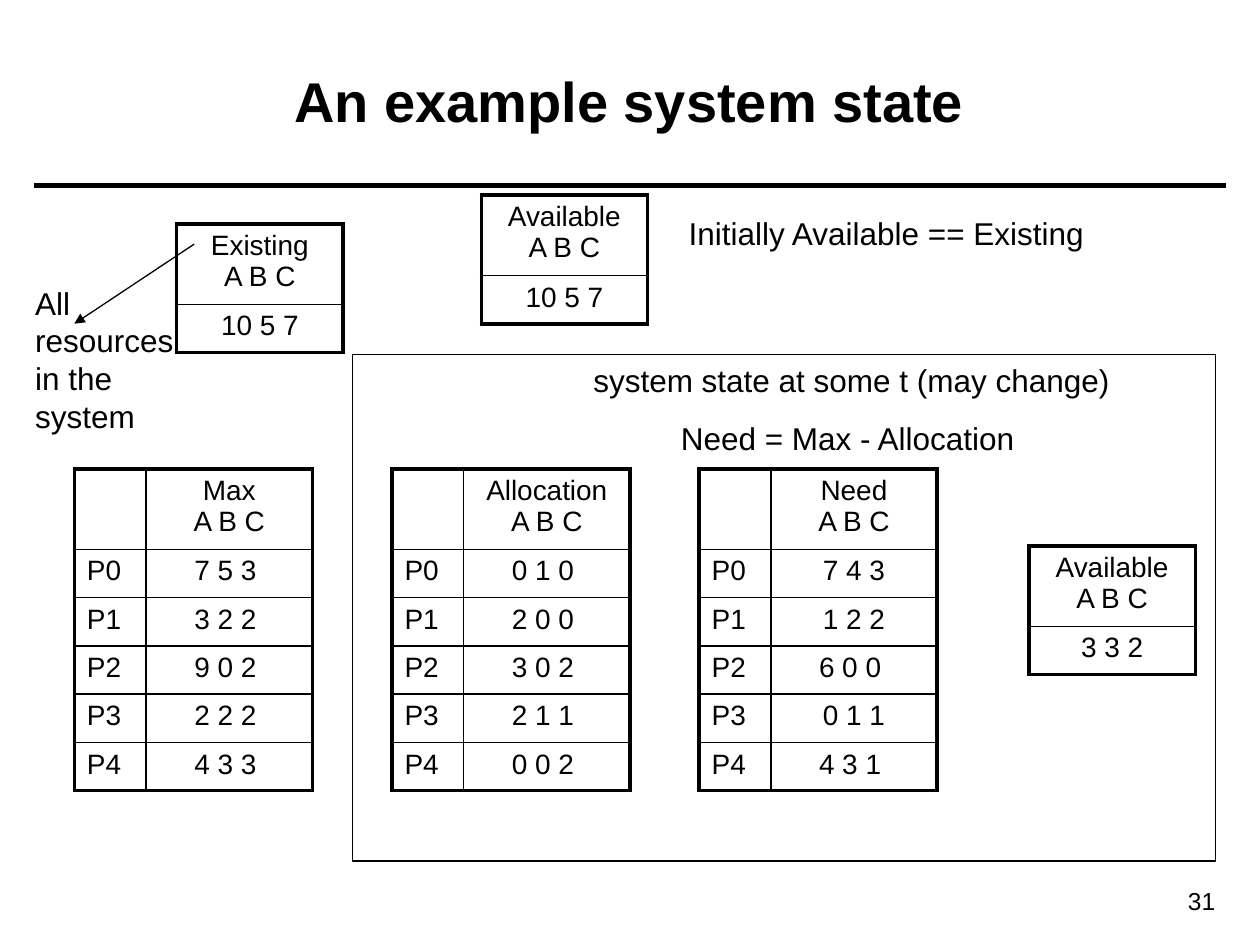
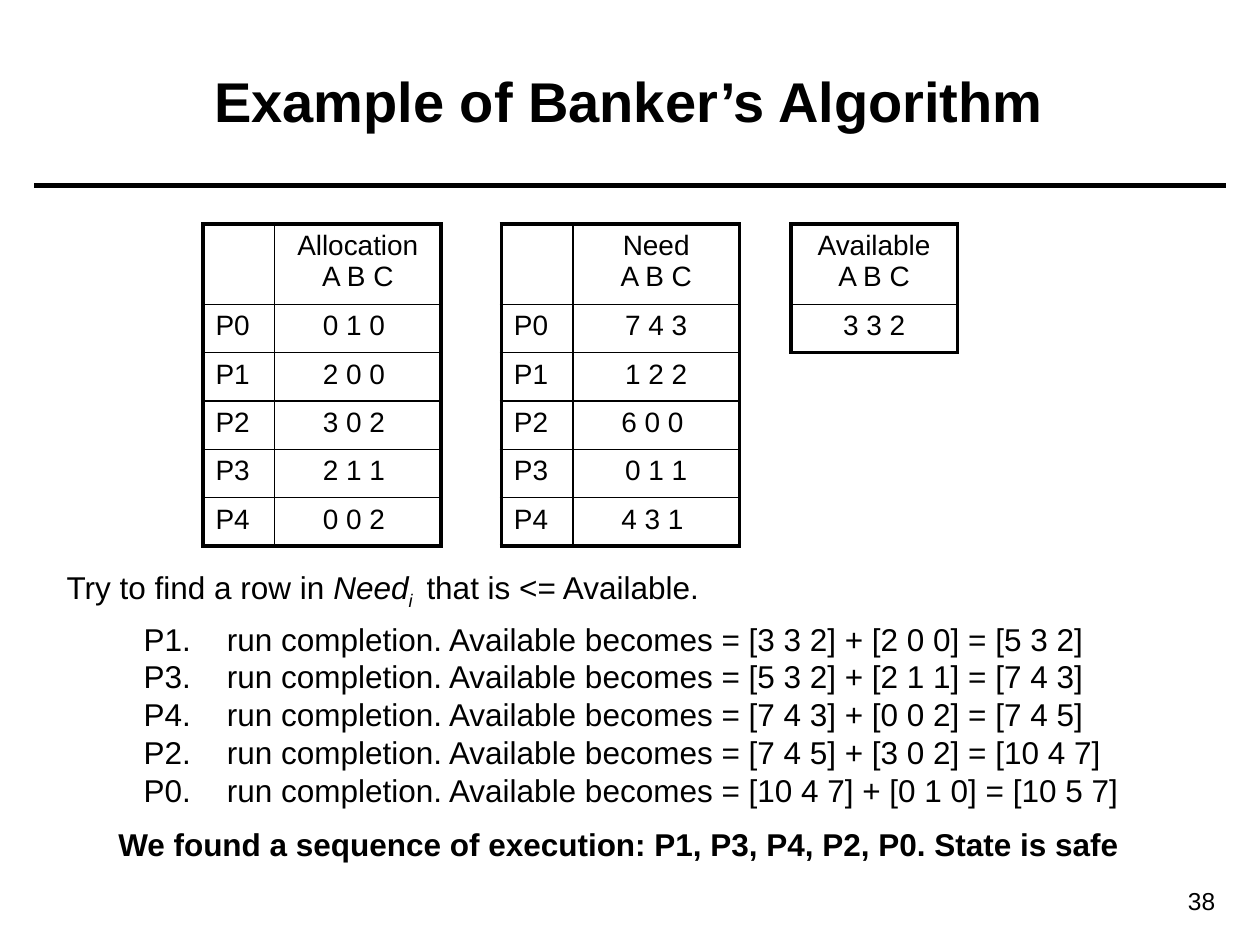
from copy import deepcopy

from lxml import etree
from pptx import Presentation
from pptx import util as u
from pptx.dml import color
from pptx.enum import shapes, text
from pptx.oxml import ns

FONT = "Arial"
BLACK = "000000"
OUTER, INNER = 2.25, 1
HEADER_HEIGHT, ROW_HEIGHT = 46, 27.6
PROCESS_WIDTH, VALUES_WIDTH = 41, 95
PROCESSES = ["P0", "P1", "P2", "P3", "P4"]
MAX = ["7 5 3 ", "3 2 2 ", "9 0 2 ", "2 2 2 ", "4 3 3 "]
ALLOCATION = ["0 1 0 ", "2 0 0 ", "3 0 2 ", "2 1 1 ", "0 0 2 "]
NEED = ["7 4 3", "1 2 2", "6 0 0 ", "0 1 1", "4 3 1 "]
EXISTING = "10 5 7"
AVAILABLE = "3 3 2"
SAFE_ORDER = ["P1", "P3", "P4", "P2", "P0"]
LEFT, CENTER, RIGHT = text.PP_ALIGN.LEFT, text.PP_ALIGN.CENTER, text.PP_ALIGN.RIGHT


def rgb(value):
    return color.RGBColor.from_string(value)


def points(*values):
    return [u.Pt(value) for value in values]


def add_element(parent, tag, **attributes):
    return etree.SubElement(parent, ns.qn(tag), attributes)


def write(frame, *paragraphs, size=18, bold=False, align=LEFT, tab=None):
    for number, content in enumerate(paragraphs):
        paragraph = frame.paragraphs[0] if number == 0 else frame.add_paragraph()
        paragraph.text = content
        paragraph.alignment = align
        if tab:
            stops = add_element(paragraph._p.get_or_add_pPr(), "a:tabLst")
            add_element(stops, "a:tab", pos=str(u.Pt(tab)), algn="l")
        for run in paragraph.runs:
            run.font.name = FONT
            run.font.size = u.Pt(size)
            run.font.bold = bold
            run.font.color.rgb = rgb(BLACK)
        for line_break in paragraph._p.findall(ns.qn("a:br")):
            line_break.append(deepcopy(paragraph.runs[0]._r.rPr))


def add_text(slide, box, *paragraphs, **style):
    frame = slide.shapes.add_textbox(*points(*box)).text_frame
    frame.word_wrap = True
    write(frame, *paragraphs, **style)
    return frame


def add_line(slide, start, end, width, arrow=False):
    line = slide.shapes.add_connector(
        shapes.MSO_CONNECTOR.STRAIGHT, *points(*start, *end))
    line.line.color.rgb = rgb(BLACK)
    line.line.width = u.Pt(width)
    if arrow:
        add_element(line.line._get_or_add_ln(), "a:tailEnd", type="triangle")
    add_element(line._element.spPr, "a:effectLst")


def set_borders(cell, **widths):
    properties = cell._tc.get_or_add_tcPr()
    for side in "LRTB":
        edge = add_element(properties, f"a:ln{side}", w=str(u.Pt(widths[side])))
        add_element(add_element(edge, "a:solidFill"), "a:srgbClr", val=BLACK)


def add_grid(slide, left, top, rows, widths):
    heights = [HEADER_HEIGHT] + [ROW_HEIGHT] * (len(rows) - 1)
    grid = slide.shapes.add_table(
        len(rows), len(widths),
        *points(left, top, sum(widths), sum(heights))).table
    grid.first_row = grid.horz_banding = False
    for column, width in zip(grid.columns, widths):
        column.width = u.Pt(width)
    last_row, last_column = len(rows) - 1, len(widths) - 1
    for r, (row, height) in enumerate(zip(rows, heights)):
        grid.rows[r].height = u.Pt(height)
        for c, content in enumerate(row):
            cell = grid.cell(r, c)
            write(cell.text_frame, content, size=16,
                  align=CENTER if c == last_column else LEFT)
            set_borders(cell,
                        L=OUTER if c == 0 else INNER,
                        R=OUTER if c == last_column else INNER,
                        T=OUTER if r == 0 else INNER,
                        B=OUTER if r == last_row else INNER)
            cell.fill.background()


def add_process_table(slide, left, top, heading, values):
    rows = [("", f"{heading}\nA B C"), *zip(PROCESSES, values)]
    add_grid(slide, left, top, rows, [PROCESS_WIDTH, VALUES_WIDTH])


def add_resource_table(slide, left, top, heading, values):
    add_grid(slide, left, top, [[f"{heading}\nA B C"], [values]], [VALUES_WIDTH])


def add_frame(slide, box):
    frame = slide.shapes.add_shape(shapes.MSO_SHAPE.RECTANGLE, *points(*box))
    frame.shadow.inherit = False
    frame.fill.background()
    frame.line.color.rgb = rgb(BLACK)
    frame.line.width = u.Pt(0.75)


def add_slide(deck, heading, number):
    slide = deck.slides.add_slide(deck.slide_layouts[5])
    add_line(slide, (19.5, 106), (700.5, 106), 3)
    title = slide.shapes.title
    title.left, title.top, title.width, title.height = points(25, 12, 669, 90)
    title.text_frame.vertical_anchor = text.MSO_ANCHOR.MIDDLE
    write(title.text_frame, heading, size=32, bold=True, align=CENTER)
    add_text(slide, (626.5, 502.5, 75, 24.5), str(number), size=14, align=RIGHT)
    return slide


def completion_steps():
    available = AVAILABLE.split()
    for process in SAFE_ORDER:
        released = ALLOCATION[PROCESSES.index(process)].split()
        total = [str(int(a) + int(b)) for a, b in zip(available, released)]
        before, added, after = (" ".join(v) for v in (available, released, total))
        yield (f"{process}.\trun completion. Available becomes = "
               f"[{before}] + [{added}] = [{after}]")
        available = total


def build_system_state(deck):
    slide = add_slide(deck, "An example system state", 31)
    top = 268
    add_process_table(slide, 224, top, "Allocation", ALLOCATION)
    add_process_table(slide, 399.5, top, "Need", NEED)
    add_resource_table(slide, 588, 312, "Available", AVAILABLE)
    add_process_table(slide, 42.5, top, "Max", MAX)
    add_text(slide, (382, 236, 206, 29), "Need = Max - Allocation")
    add_resource_table(slide, 101, 128, "Existing", EXISTING)
    add_frame(slide, (201.5, 202.5, 493, 289.5))
    add_text(slide, (332, 202.5, 310, 29), "system state at some t (may change)")
    add_resource_table(slide, 275, 111.5, "Available", EXISTING)
    add_line(slide, (111, 139.5), (42.5, 185), 0.75, arrow=True)
    add_text(slide, (13, 158.5, 94, 93.5), "All\nresources\nin the", "system")
    add_text(slide, (386.5, 119, 241, 29), "Initially Available == Existing")


def build_bankers_algorithm(deck):
    slide = add_slide(deck, "Example of Banker’s Algorithm", 38)
    top = 128
    add_process_table(slide, 116, top, "Allocation", ALLOCATION)
    add_process_table(slide, 286.5, top, "Need", NEED)
    add_resource_table(slide, 452, top, "Available", AVAILABLE)
    search = add_text(slide, (31, 321, 383, 29), "Try to find a row in ")
    sentence = search.paragraphs[0]
    opening = sentence.runs[0]._r.rPr
    for part, italic, baseline in [("Need", True, 0), ("i ", True, -25000),
                                   (" that is <= Available.", False, 0)]:
        run = sentence.add_run()
        run.text = part
        run._r.insert(0, deepcopy(opening))
        run.font.italic = italic
        run._r.rPr.set("baseline", str(baseline))
    add_text(slide, (75, 350.5, 572, 137), *completion_steps(), tab=47.5)
    add_text(slide, (60.5, 468, 586, 29),
             f"We found a sequence of execution: {', '.join(SAFE_ORDER)}. State is safe",
             bold=True)


def main():
    deck = Presentation()
    deck.slide_width, deck.slide_height = points(720, 540)
    build_system_state(deck)
    build_bankers_algorithm(deck)
    deck.save("out.pptx")


if __name__ == "__main__":
    main()
